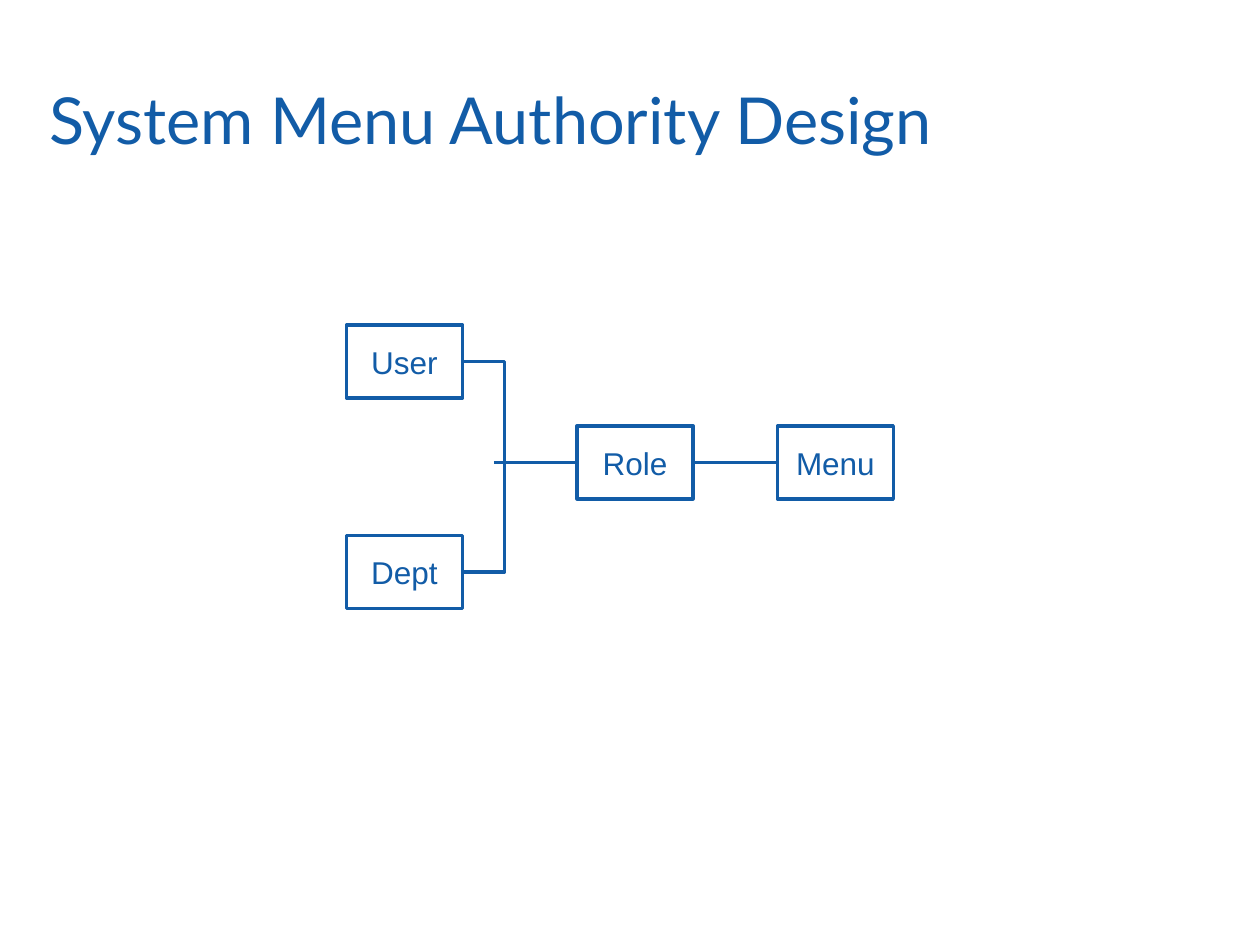
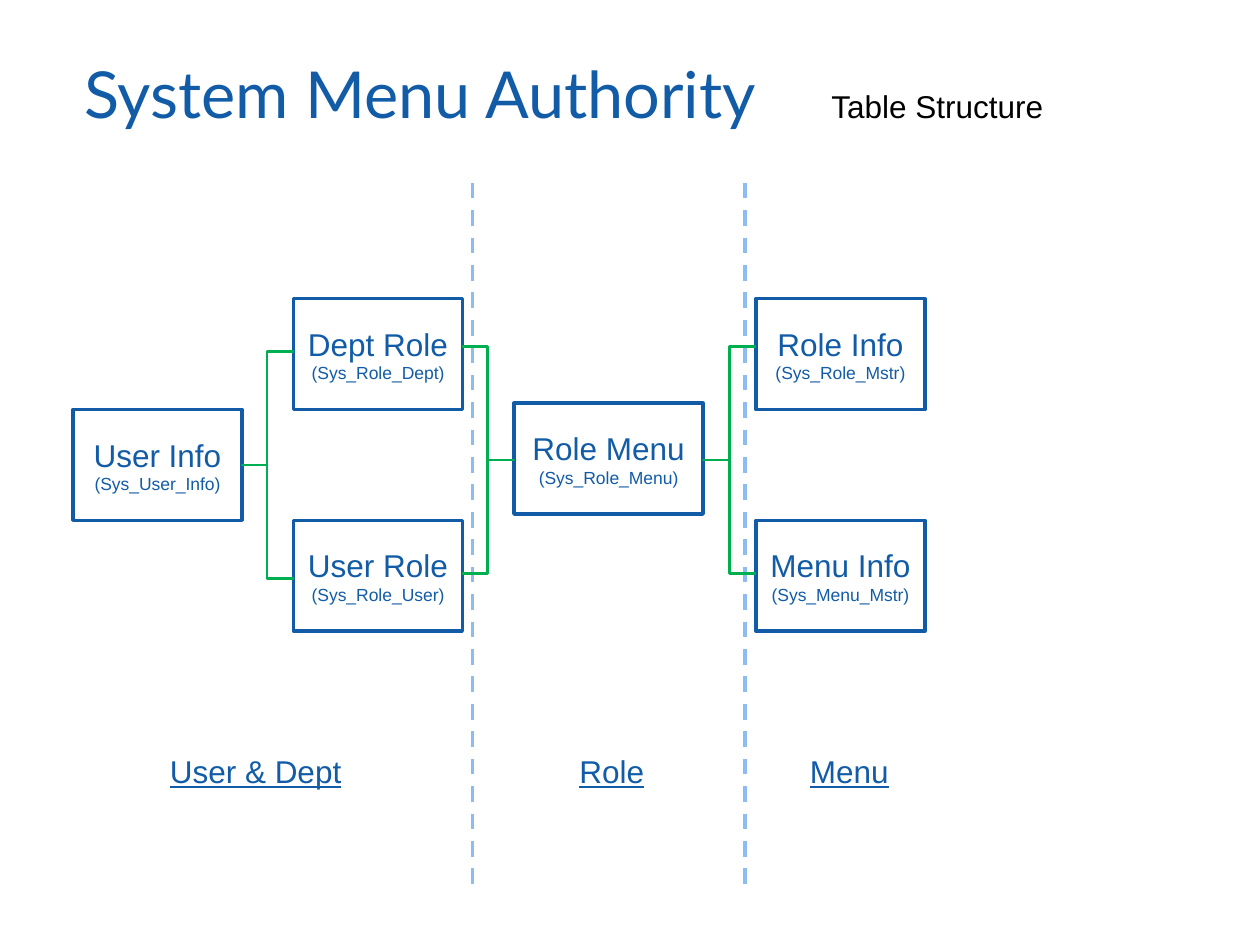
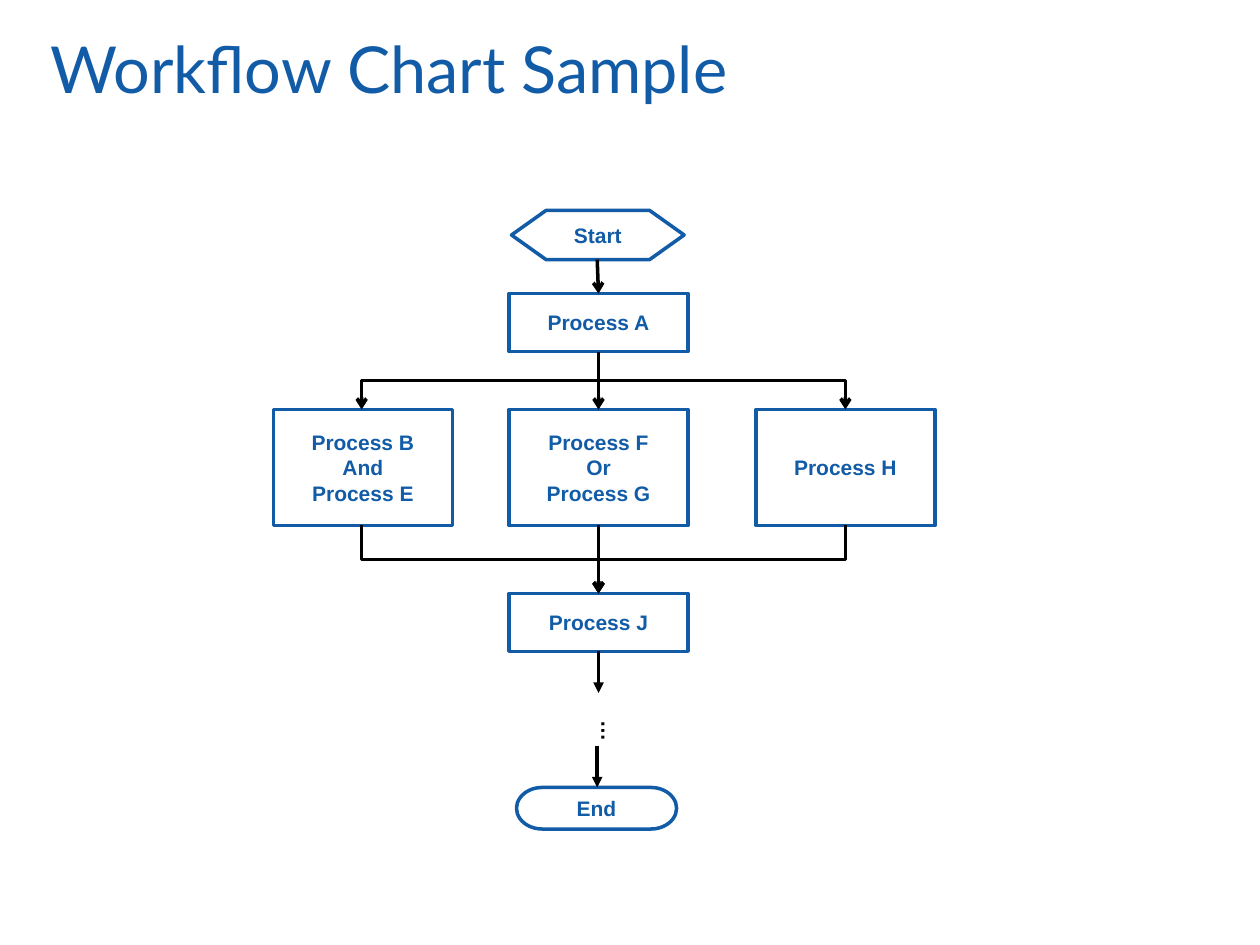
from lxml import etree
from pptx import Presentation
from pptx.dml.color import RGBColor
from pptx.enum.dml import MSO_LINE
from pptx.enum.shapes import MSO_CONNECTOR, MSO_SHAPE
from pptx.enum.text import MSO_ANCHOR, PP_ALIGN
from pptx.oxml.ns import qn
from pptx.util import Pt

PX = 9144  # one px is a hundredth of an inch
BLUE, WHITE, BLACK = "125CA7", "FFFFFF", "000000"
GREEN, LIGHT_BLUE = "00B050", "8ABEF2"
RECTANGLE = MSO_SHAPE.RECTANGLE
PROCESS = MSO_SHAPE.FLOWCHART_PROCESS
PREPARATION = MSO_SHAPE.FLOWCHART_PREPARATION
TERMINATOR = MSO_SHAPE.FLOWCHART_TERMINATOR
STRAIGHT, ELBOW = MSO_CONNECTOR.STRAIGHT, MSO_CONNECTOR.ELBOW
CENTER, MIDDLE, TOP = PP_ALIGN.CENTER, MSO_ANCHOR.MIDDLE, MSO_ANCHOR.TOP
DASH = MSO_LINE.DASH


def add_text(slide, frame, lines, size=18, color=BLUE, preset=None, bold=None, font="Arial"):
    """Add a text box, or a centred outlined shape when a preset is given."""
    frame = [value * PX for value in frame]
    if preset is None:
        shape = slide.shapes.add_textbox(*frame)
    else:
        shape = slide.shapes.add_shape(preset, *frame)
        shape.shadow.inherit = False
        shape.fill.solid()
        shape.fill.fore_color.rgb = RGBColor.from_string(WHITE)
        shape.line.color.rgb = RGBColor.from_string(BLUE)
        shape.line.width = Pt(2)
    text_frame = shape.text_frame
    text_frame.word_wrap = True
    text_frame.vertical_anchor = TOP if preset is None else MIDDLE
    for index, line in enumerate(lines):
        paragraph = text_frame.add_paragraph() if index else text_frame.paragraphs[0]
        if preset is not None:
            paragraph.alignment = CENTER
        run = paragraph.add_run()
        run.text = line
        run.font.name = font
        run.font.size = Pt(size)
        run.font.bold = bold
        run.font.color.rgb = RGBColor.from_string(color)
    return shape


def add_line(slide, begin, end, color=BLUE, width=2, kind=STRAIGHT, arrow=None):
    points = [value * PX for value in (*begin, *end)]
    connector = slide.shapes.add_connector(kind, *points)
    connector.line.color.rgb = RGBColor.from_string(color)
    connector.line.width = Pt(width)
    if arrow:
        etree.SubElement(connector.line._get_or_add_ln(), qn("a:tailEnd"), type=arrow)
    etree.SubElement(connector.element.spPr, qn("a:effectLst"))
    return connector


presentation = Presentation()
presentation.slide_width = 1000 * PX
presentation.slide_height = 750 * PX

slides = []
for title, frame in [
    ("System Menu Authority Design", (39, 70, 917, 56)),
    ("System Menu Authority", (67, 50, 817, 117)),
    ("Workflow Chart Sample", (40, 30, 900, 56)),
]:
    slide = presentation.slides.add_slide(presentation.slide_layouts[6])
    title_frame = add_text(slide, frame, [title], 37, font="Lato").text_frame
    title_frame.margin_left = title_frame.margin_right = 0
    title_frame.margin_top = title_frame.margin_bottom = 0
    title_frame.paragraphs[0].line_spacing = 0.9
    slides.append(slide)
design_slide, table_slide, workflow_slide = slides

# Slide 1: users and departments lead to roles, roles to menus
for name, left, top in [
    ("User", 275, 258), ("Dept", 275, 425), ("Role", 458, 338), ("Menu", 617, 338),
]:
    add_text(design_slide, (left, top, 92, 58), [name], preset=RECTANGLE)

# The adjustment is in thousandths of a percent of the 1 px width: the bend lies 34 px out
bracket = add_line(design_slide, (367, 287), (368, 454), kind=ELBOW)
adjustments = bracket.element.spPr.find(qn("a:prstGeom")).get_or_add_avLst()
etree.SubElement(adjustments, qn("a:gd"), name="adj1", fmla="val 3400000")
add_line(design_slide, (392, 367), (458, 367))
add_line(design_slide, (550, 367), (617, 367))

# Slide 2: tables in three zones
for name, table_name, left, top, width in [
    ("User Info", "(Sys_User_Info)", 58, 325, 134),
    ("User Role", "(Sys_Role_User)", 233, 413, 134),
    ("Dept Role", "(Sys_Role_Dept)", 233, 237, 134),
    ("Role Menu", "(Sys_Role_Menu)", 408, 320, 150),
    ("Role Info", "(Sys_Role_Mstr)", 600, 237, 134),
    ("Menu Info", "(Sys_Menu_Mstr)", 600, 413, 134),
]:
    box = add_text(table_slide, (left, top, width, 88), [name, table_name], preset=RECTANGLE)
    box.text_frame.paragraphs[1].runs[0].font.size = Pt(10)

subtitle = add_text(table_slide, (650, 64, 191, 40), ["Table Structure"], color=BLACK)
subtitle.text_frame.word_wrap = False

for x in (375, 591):
    divider = add_line(table_slide, (x, 145), (x, 709), LIGHT_BLUE, 2.25)
    divider.line.dash_style = DASH

for tips, stem, top in [(233, 192, 279), (367, 408, 275), (600, 558, 275)]:
    spine, middle, bottom = (tips + stem) // 2, top + 90, top + 180
    builder = table_slide.shapes.build_freeform(tips, top, scale=PX)
    builder.add_line_segments(
        [(spine, top), (spine, middle), (stem, middle), (spine, middle),
         (spine, bottom), (tips, bottom)],
        close=False,
    )
    fork = builder.convert_to_shape()
    fork.shadow.inherit = False
    fork.fill.background()
    fork.line.color.rgb = RGBColor.from_string(GREEN)
    fork.line.width = Pt(1.5)

for zone, left, width in [("User & Dept", 125, 183), ("Role", 450, 75), ("Menu", 633, 100)]:
    label = add_text(table_slide, (left, 592, width, 40), [zone])
    label.text_frame.paragraphs[0].runs[0].font.underline = True

# Slide 3: flow chart
for preset, frame, lines in [
    (PREPARATION, (406, 167, 137, 39), ["Start"]),
    (PROCESS, (404, 233, 142, 46), ["Process A"]),
    (PROCESS, (217, 325, 142, 92), ["Process B", "And", "Process E"]),
    (PROCESS, (404, 325, 142, 92), ["Process F", "Or", "Process G"]),
    (PROCESS, (600, 325, 142, 92), ["Process H"]),
    (PROCESS, (404, 471, 142, 46), ["Process J"]),
    (TERMINATOR, (410, 625, 127, 33), ["End"]),
]:
    add_text(workflow_slide, frame, lines, 12, preset=preset, bold=True)

ellipsis = add_text(workflow_slide, (459, 562, 40, 75), ["…"], 12, BLACK, bold=True)
ellipsis_frame = ellipsis.text_frame
ellipsis_frame.margin_left = ellipsis_frame.margin_right = 5 * PX
ellipsis_frame.margin_top = ellipsis_frame.margin_bottom = 10 * PX
ellipsis_frame.paragraphs[0].alignment = CENTER
ellipsis.element.txBody.find(qn("a:bodyPr")).set("vert", "eaVert")

for begin, end, arrow in [
    ((474, 206), (475, 233), "arrow"),
    ((475, 279), (475, 325), "arrow"),
    ((475, 417), (475, 471), "arrow"),
    ((475, 517), (475, 550), "triangle"),
    ((474, 592), (474, 625), "triangle"),
]:
    add_line(workflow_slide, begin, end, BLACK, arrow=arrow)

# Elbows that leave downwards are drawn lying flat, then turned a quarter
for (begin_x, begin_y), (end_x, end_y) in [
    ((475, 279), (287, 325)),
    ((475, 279), (671, 325)),
    ((287, 417), (475, 471)),
    ((671, 417), (475, 471)),
]:
    width, height = end_y - begin_y, abs(end_x - begin_x)
    left = (begin_x + end_x - width) // 2
    top = (begin_y + end_y - height) // 2
    elbow = add_line(workflow_slide, (left, top), (left + width, top + height),
                     BLACK, kind=ELBOW, arrow="arrow")
    transform = elbow.element.spPr.find(qn("a:xfrm"))
    if end_x < begin_x:
        transform.set("rot", "5400000")
    else:
        transform.set("rot", "16200000")
        transform.set("flipH", "1")

presentation.save("out.pptx")
